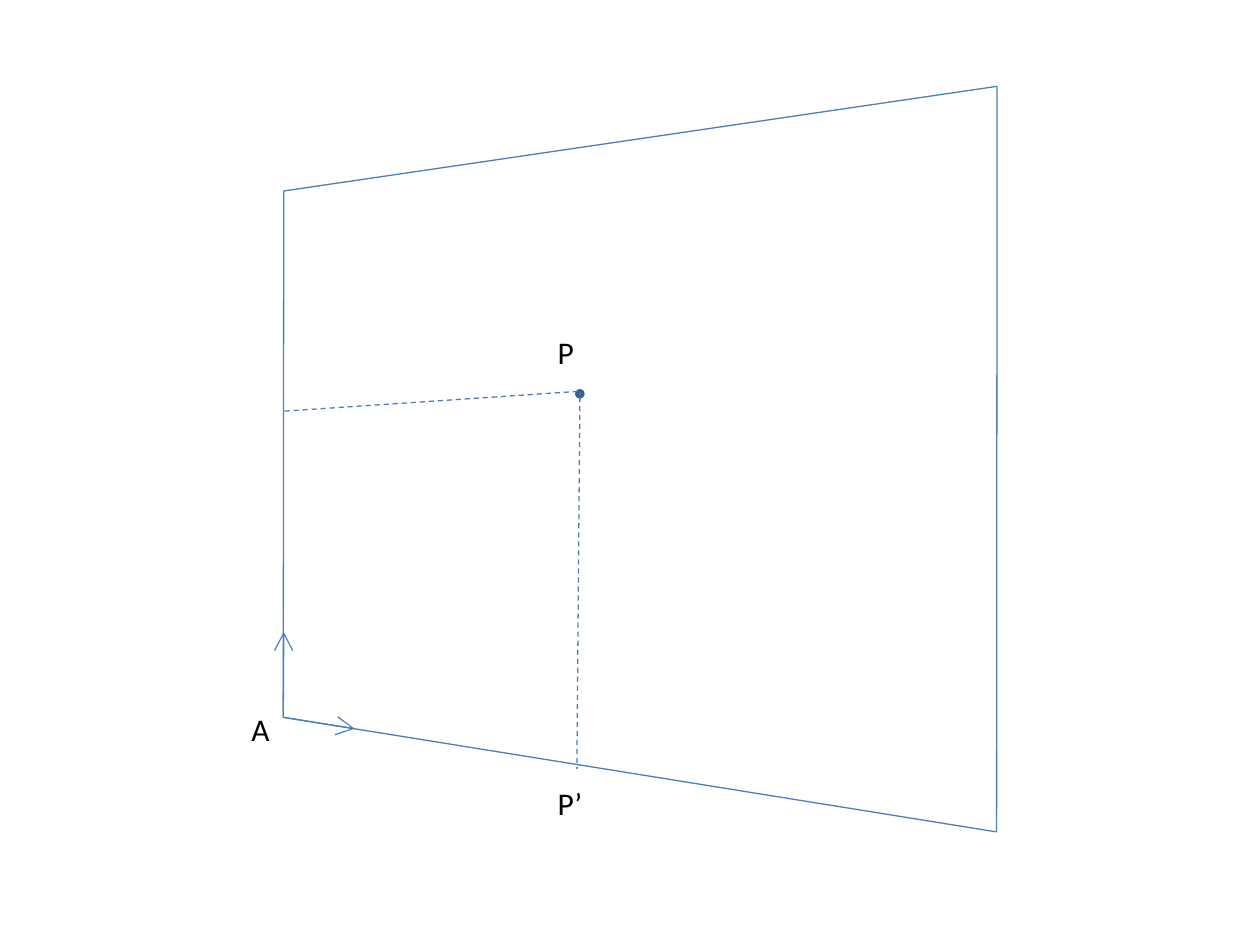
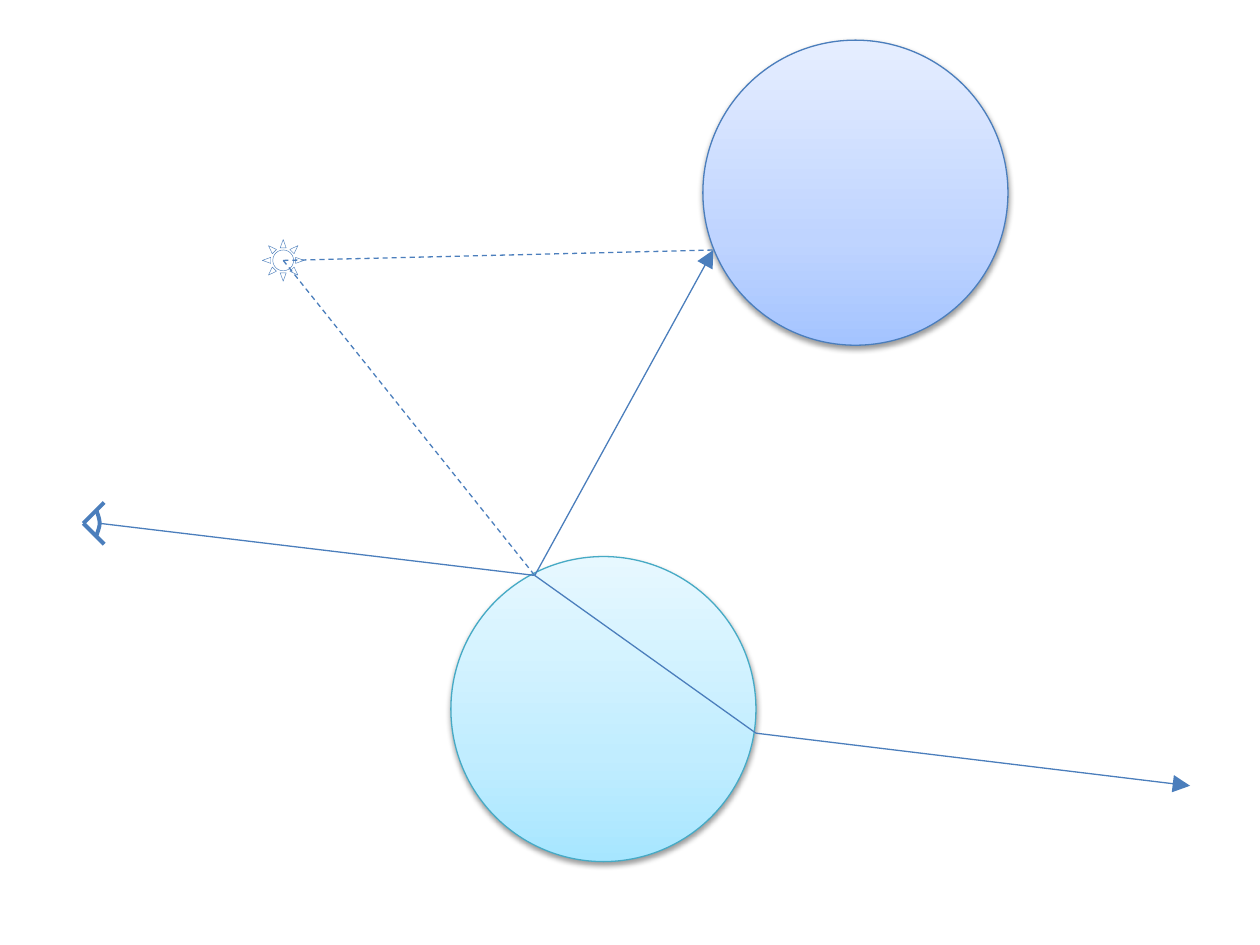
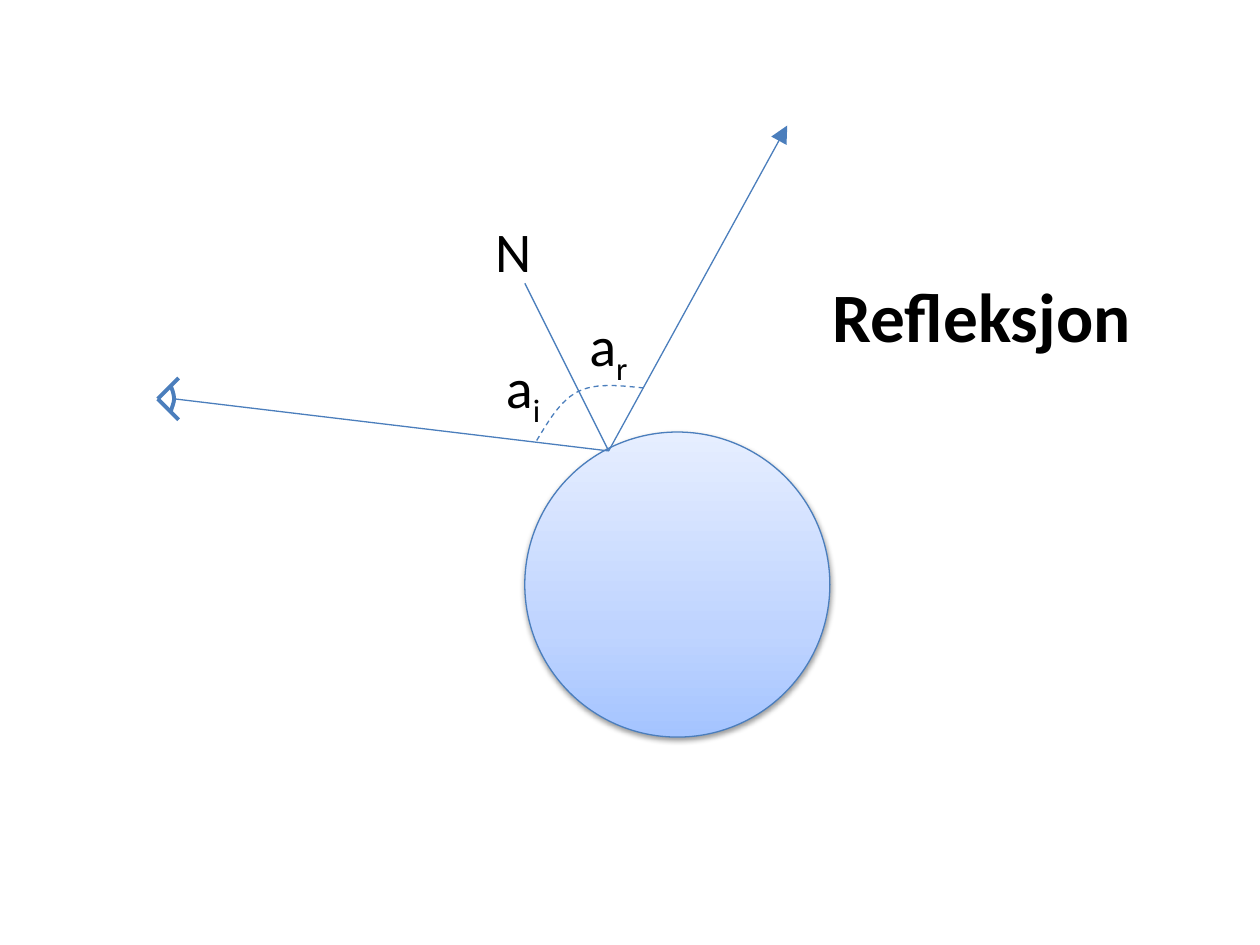
from lxml import etree
from pptx import Presentation
from pptx.dml.color import RGBColor
from pptx.enum.dml import MSO_LINE
from pptx.enum.shapes import MSO_CONNECTOR, MSO_SHAPE
from pptx.enum.text import MSO_ANCHOR, MSO_AUTO_SIZE, PP_ALIGN
from pptx.oxml import parse_xml
from pptx.oxml.ns import nsdecls, qn
from pptx.util import Cm, Pt

STRAIGHT = MSO_CONNECTOR.STRAIGHT
OVAL, SUN = MSO_SHAPE.OVAL, MSO_SHAPE.SUN
DASH = MSO_LINE.DASH
MIDDLE, CENTER = MSO_ANCHOR.MIDDLE, PP_ALIGN.CENTER
FIT_TEXT = MSO_AUTO_SIZE.SHAPE_TO_FIT_TEXT
TITLE_ONLY, BLANK = 5, 6

FONT = "Calibri"
BLACK, WHITE = "000000", "FFFFFF"
LINE_BLUE, ACCENT, POINT_EDGE = "4B7EBC", "4F81BD", "3A5F8C"
CYAN_EDGE = "46AAC5"
BLUE_STOPS = ((0, "A4C4FF"), (35, "BFD4FF"), (100, "E6EEFF"))
CYAN_STOPS = ((0, "A7E6FF"), (35, "C1EDFF"), (100, "E7F8FF"))
THIN, THICK = 0.75, 2.25

SPHERE_SIZE = 6.15
SPHERE_HIT = (1.69, 0.38)
SPHERE_EXIT = (6.15, 3.56)
REFLECTED = (3.6, -6.56)
PUPIL = (0.33, 0.42)


def rgb(value):
    return RGBColor.from_string(value)


def shift(origin, offset):
    return origin[0] + offset[0], origin[1] + offset[1]


def style_line(line, color=LINE_BLUE, width=THIN, dashed=False):
    line.color.rgb = rgb(color)
    line.width = Pt(width)
    if dashed:
        line.dash_style = DASH


def add_line(slide, start, end, width=THIN, dashed=False, head=None):
    ends = [Cm(value) for value in (*start, *end)]
    connector = slide.shapes.add_connector(STRAIGHT, *ends)
    style_line(connector.line, width=width, dashed=dashed)
    if head:
        line_xml = connector.line._get_or_add_ln()
        etree.SubElement(line_xml, qn("a:tailEnd"), type=head, w="lg", len="lg")
    etree.SubElement(connector._element.spPr, qn("a:effectLst"))


def bezier_point(controls, t):
    """Return the point at t on the curve by repeated interpolation."""
    while len(controls) > 1:
        controls = [tuple(a + (b - a) * t for a, b in zip(first, second))
                    for first, second in zip(controls, controls[1:])]
    return controls[0]


def add_curve(slide, origin, controls, width=THIN, dashed=False, steps=12):
    """Draw joined cubic curves; neighbours share an end point."""
    points = [bezier_point(controls[first:first + 4], step / steps)
              for first in range(0, len(controls) - 1, 3)
              for step in range(steps + 1)]
    points = [tuple(Cm(value) for value in shift(origin, point)) for point in points]
    builder = slide.shapes.build_freeform(*points[0])
    builder.add_line_segments(points[1:], close=False)
    curve = builder.convert_to_shape()
    curve.shadow.inherit = False
    curve.fill.background()
    style_line(curve.line, width=width, dashed=dashed)


def add_figure(slide, kind, position, size, fill, edge, width):
    left, top = position
    shape = slide.shapes.add_shape(kind, Cm(left), Cm(top), Cm(size), Cm(size))
    shape.shadow.inherit = False
    if fill:
        shape.fill.solid()
        shape.fill.fore_color.rgb = rgb(fill)
    style_line(shape.line, edge, width)
    return shape


def add_sphere(slide, position, stops, edge):
    sphere = add_figure(slide, OVAL, position, SPHERE_SIZE, None, edge, THIN)
    sphere.fill.gradient()
    sphere.fill.gradient_angle = 90
    properties = sphere._element.spPr
    stop_list = properties.find(".//" + qn("a:gsLst"))
    stop_list.clear()
    for percent, color in stops:
        stop = etree.SubElement(stop_list, qn("a:gs"), pos=str(percent * 1000))
        etree.SubElement(stop, qn("a:srgbClr"), val=color)
    properties.find(qn("a:effectLst")).append(parse_xml(
        f'<a:outerShdw {nsdecls("a")} blurRad="40000" dist="20000" dir="5400000" '
        'rotWithShape="0"><a:srgbClr val="000000"><a:alpha val="38000"/>'
        '</a:srgbClr></a:outerShdw>'))


def format_run(run, size, bold=False):
    run.font.name = FONT
    run.font.size = Pt(size)
    run.font.bold = bold
    run.font.color.rgb = rgb(BLACK)


def add_label(slide, position, text, size, width, height, subscript=""):
    left, top = position
    box = slide.shapes.add_textbox(Cm(left), Cm(top), Cm(width), Cm(height))
    frame = box.text_frame
    frame.text = text
    frame.word_wrap = False
    frame.auto_size = FIT_TEXT
    paragraph = frame.paragraphs[0]
    if subscript:
        run = paragraph.add_run()
        run.text = subscript
        run._r.get_or_add_rPr().set("baseline", "-25000")
    for run in paragraph.runs:
        format_run(run, size)


def add_title(slide, text, left, top, width, height):
    title = slide.shapes.title
    title.left, title.top = Cm(left), Cm(top)
    title.width, title.height = Cm(width), Cm(height)
    title.text_frame.text = text
    title.text_frame.vertical_anchor = MIDDLE
    paragraph = title.text_frame.paragraphs[0]
    paragraph.alignment = CENTER
    format_run(paragraph.runs[0], 39.6, bold=True)


def add_eye(slide, position):
    tip = shift(position, (0, 0.42))
    for lid in ((0.42, 0), (0.42, 0.84)):
        add_line(slide, shift(position, lid), tip, THICK)
    add_curve(slide, position, [(0.26, 0.15), (0.29, 0.23), (0.33, 0.33), PUPIL,
                                (0.33, 0.5), (0.29, 0.58), (0.26, 0.69)], THICK)


def add_reflected_sight(slide, eye, hit):
    """Draw the sight line from the eye and the ray that leaves the hit point."""
    add_line(slide, shift(eye, PUPIL), hit)
    add_line(slide, hit, shift(hit, REFLECTED), head="triangle")


def draw_plane(slide, corner):
    """Draw the slanted plane with its axes from the lower-left corner A."""
    top_left, top_right, bottom_right = (
        shift(corner, offset) for offset in ((0.01, -10.61), (14.39, -12.72), (14.38, 2.31)))
    add_line(slide, top_left, top_right)
    add_line(slide, corner, bottom_right)
    add_line(slide, top_right, bottom_right)
    add_line(slide, top_left, corner)
    for axis in ((0.01, -1.72), (1.44, 0.23)):
        add_line(slide, corner, shift(corner, axis), head="arrow")

    point = shift(corner, (5.98, -6.52))
    add_figure(slide, OVAL, shift(point, (-0.06, -0.06)), 0.12, ACCENT, POINT_EDGE, 2)
    add_line(slide, shift(point, (0, 0.06)), shift(corner, (5.92, 1.04)), dashed=True)
    add_line(slide, shift(point, (-0.04, -0.05)), shift(corner, (0, -6.17)), dashed=True)
    for text, offset, width in (("P", (5.28, -7.87), 0.86), ("A", (-0.89, -0.27), 0.89),
                                ("P’", (5.28, 1.22), 1.02)):
        add_label(slide, shift(corner, offset), text, 18, width, 1.02)


def draw_ray_tracing(slide, glass, mirror, eye, sun):
    """Draw the sight line that is refracted in one sphere and reflected to another."""
    sun_size = 0.84
    hit = shift(glass, SPHERE_HIT)
    leaving = shift(glass, SPHERE_EXIT)
    light = shift(sun, (sun_size / 2, sun_size / 2))
    add_eye(slide, eye)
    add_sphere(slide, glass, CYAN_STOPS, CYAN_EDGE)
    add_sphere(slide, mirror, BLUE_STOPS, LINE_BLUE)
    add_figure(slide, SUN, sun, sun_size, WHITE, ACCENT, 0.25)
    add_reflected_sight(slide, eye, hit)
    for target in (hit, shift(hit, REFLECTED)):
        add_line(slide, light, target, dashed=True)
    add_line(slide, hit, leaving)
    add_line(slide, leaving, shift(leaving, (8.75, 1.06)), head="triangle")


def draw_reflection(slide, sphere, eye):
    """Draw equal angles on both sides of the surface normal."""
    hit = shift(sphere, SPHERE_HIT)
    add_eye(slide, eye)
    add_sphere(slide, sphere, BLUE_STOPS, LINE_BLUE)
    add_reflected_sight(slide, eye, hit)
    add_line(slide, hit, shift(hit, (-1.69, -3.38)))
    add_curve(slide, hit, [(-1.45, -0.21), (-1.2, -0.62), (-0.97, -1.02), (-0.61, -1.2),
                           (-0.25, -1.37), (0.2, -1.32), (0.69, -1.27)], dashed=True)
    for text, subscript, offset, width in (("N", "", (-2.54, -4.85), 1.25),
                                           ("a", "i", (-2.32, -2.1), 1.25),
                                           ("a", "r", (-0.64, -2.95), 1.4)):
        add_label(slide, shift(hit, offset), text, 32, width, 1.63, subscript)


def main():
    presentation = Presentation()
    presentation.slide_width, presentation.slide_height = Cm(25.4), Cm(19.05)
    plane, tracing, reflection = (
        presentation.slides.add_slide(presentation.slide_layouts[layout])
        for layout in (BLANK, BLANK, TITLE_ONLY))
    draw_plane(plane, (5.71, 14.46))
    draw_ray_tracing(tracing, glass=(9.09, 11.22), mirror=(14.17, 0.81),
                     eye=(1.68, 10.13), sun=(5.29, 4.83))
    add_title(reflection, "Refleksjon", 16.3, 5.08, 6.98, 2.54)
    draw_reflection(reflection, sphere=(10.58, 8.71), eye=(3.18, 7.62))
    presentation.save("out.pptx")


if __name__ == "__main__":
    main()
